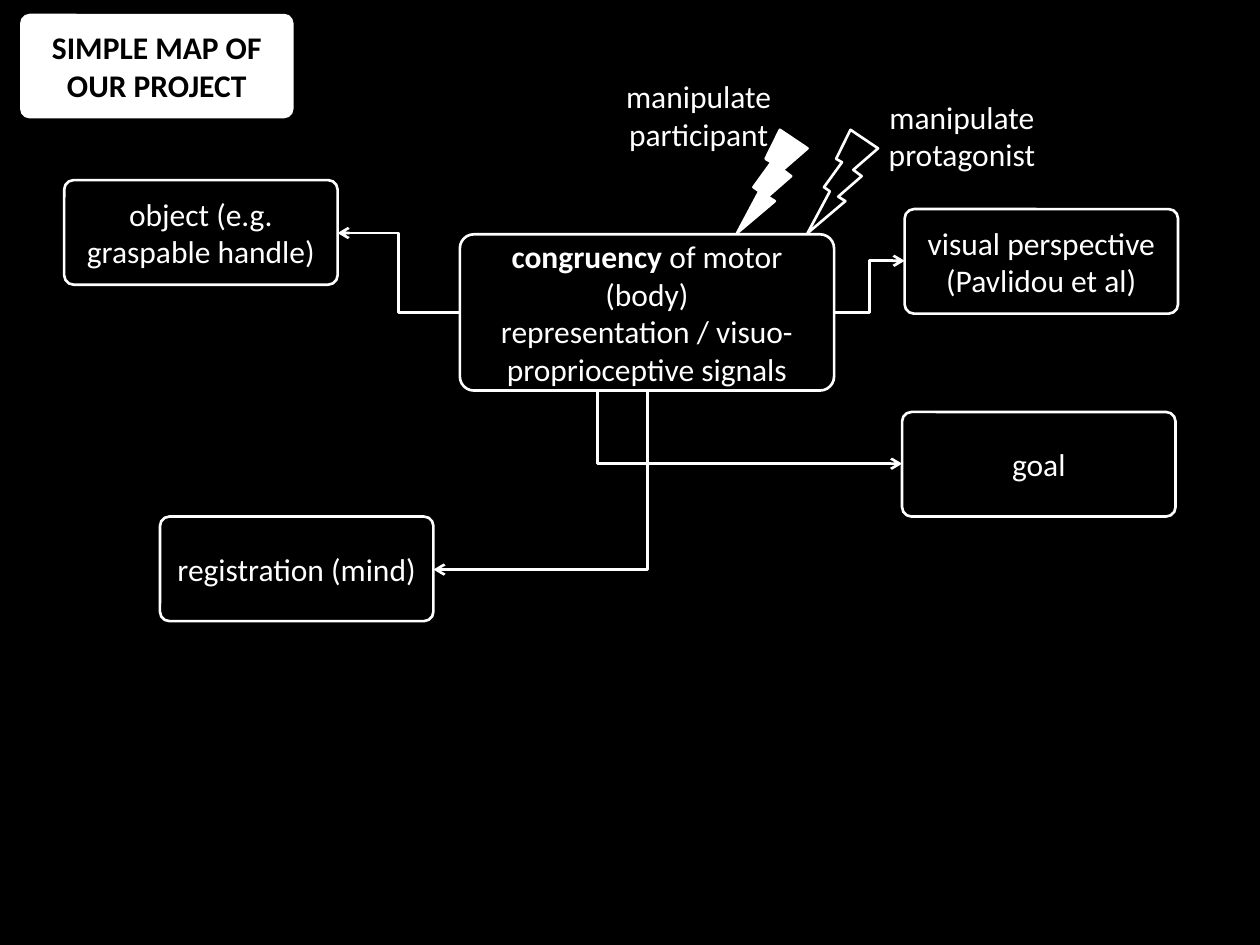
from dataclasses import dataclass

from lxml.etree import SubElement
from pptx import Presentation
from pptx.dml.color import RGBColor
from pptx.enum.shapes import MSO_CONNECTOR, MSO_SHAPE
from pptx.enum.text import MSO_ANCHOR, PP_ALIGN
from pptx.oxml.ns import qn
from pptx.util import Inches, Pt


@dataclass(frozen=True)
class Theme:
    """Colours, type and line sizes of the slide."""
    dark: RGBColor = RGBColor(0, 0, 0)
    light: RGBColor = RGBColor(255, 255, 255)
    font: str = "Calibri"
    text_size: Pt = Pt(18)
    line_width: Pt = Pt(1.5)
    corner: float = 0.09


THEME = Theme()
NODE_SIZE = (2.17, 0.83)
BOLT_SIZE = (0.56, 0.82)

TITLE = ("SIMPLE MAP OF OUR PROJECT", 0.16, 0.11)
HUB_TEXT = [("congruency ", True),
            ("of motor (body) representation /\u00a0visuo-proprioceptive signals", False)]
HUB = (3.65, 1.86, 2.97, 1.24)
NODES = [
    ("goal", 7.16, 3.27),
    ("registration (mind)", 1.27, 4.1),
    ("object (e.g. graspable handle)", 0.51, 1.43),
    ("visual perspective (Pavlidou et al)", 7.18, 1.66),
]
LABELS = [("manipulate participant", 4.46, 0.5), ("manipulate protagonist", 6.55, 0.66)]
BOLTS = [(5.85, 1.03, THEME.light), (6.41, 1.03, THEME.dark)]
SIDE_ARROWS = [((3.65, 2.48), (2.68, 1.85)), ((6.62, 2.48), (7.18, 2.07))]
DOWN_ARROWS = [((4.74, 3.1), (7.16, 3.68)), ((5.14, 3.1), (3.44, 4.52))]


def add_figure(page, kind, place, fill=None, outlined=True):
    """Add a preset shape with the given fill and an optional light outline."""
    shape = page.shapes.add_shape(kind, *map(Inches, place))
    shape.shadow.inherit = False
    if fill is None:
        shape.fill.background()
    else:
        shape.fill.solid()
        shape.fill.fore_color.rgb = fill
    if outlined:
        shape.line.color.rgb = THEME.light
        shape.line.width = THEME.line_width
    else:
        shape.line.fill.background()
    return shape


def add_box(page, spans, place, fill=None, outlined=True, color=THEME.light):
    """Add a rounded box holding centred (text, bold) spans."""
    box = add_figure(page, MSO_SHAPE.ROUNDED_RECTANGLE, place, fill, outlined)
    box.adjustments[0] = THEME.corner
    frame = box.text_frame
    frame.word_wrap = True
    frame.vertical_anchor = MSO_ANCHOR.MIDDLE
    para = frame.paragraphs[0]
    para.alignment = PP_ALIGN.CENTER
    para.font.name = THEME.font
    para.font.size = THEME.text_size
    para.font.color.rgb = color
    for text, bold in spans:
        span = para.add_run()
        span.text = text
        span.font.bold = bold
        span.font.name = THEME.font
        span.font.size = THEME.text_size
        span.font.color.rgb = color


def add_bolt(page, left, top, fill):
    """Add a mirrored lightning bolt."""
    bolt = add_figure(page, MSO_SHAPE.LIGHTNING_BOLT, (left, top, *BOLT_SIZE), fill)
    bolt._element.spPr.xfrm.flipH = True


def add_arrow(page, start, end):
    """Add an elbow arrow that leaves and arrives sideways."""
    arrow = page.shapes.add_connector(MSO_CONNECTOR.ELBOW, *map(Inches, start + end))
    arrow.line.color.rgb = THEME.light
    arrow.line.width = THEME.line_width
    SubElement(arrow.line._get_or_add_ln(), qn("a:tailEnd"), type="arrow")
    SubElement(arrow._element.spPr, qn("a:effectLst"))
    return arrow


def add_down_arrow(page, start, end):
    """Add a one-corner arrow that goes down, then sideways: a quarter-turned elbow."""
    (x1, y1), (x2, y2) = start, end
    middle_x, middle_y = (x1 + x2) / 2, (y1 + y2) / 2
    side = 1 if x2 > x1 else -1
    half_width, half_height = side * (y2 - y1) / 2, abs(x2 - x1) / 2
    arrow = add_arrow(page, (middle_x + half_width, middle_y - half_height),
                      (middle_x - half_width, middle_y + half_height))
    properties = arrow._element.spPr
    properties.xfrm.set("rot", str((270 if side > 0 else 90) * 60000))
    properties.find(qn("a:prstGeom")).set("prst", "bentConnector2")


deck = Presentation()
deck.slide_width, deck.slide_height = Inches(10), Inches(7.5)
page = deck.slides.add_slide(deck.slide_layouts[6])
page.background.fill.solid()
page.background.fill.fore_color.rgb = THEME.dark

add_box(page, HUB_TEXT, HUB)
for text, left, top in NODES:
    add_box(page, [(text, False)], (left, top, *NODE_SIZE))
for start, end in DOWN_ARROWS:
    add_down_arrow(page, start, end)
for start, end in SIDE_ARROWS:
    add_arrow(page, start, end)
for bolt in BOLTS:
    add_bolt(page, *bolt)
for text, left, top in LABELS:
    add_box(page, [(text, False)], (left, top, *NODE_SIZE), outlined=False)
title, left, top = TITLE
add_box(page, [(title, True)], (left, top, *NODE_SIZE), THEME.light, False, THEME.dark)

deck.save("out.pptx")
